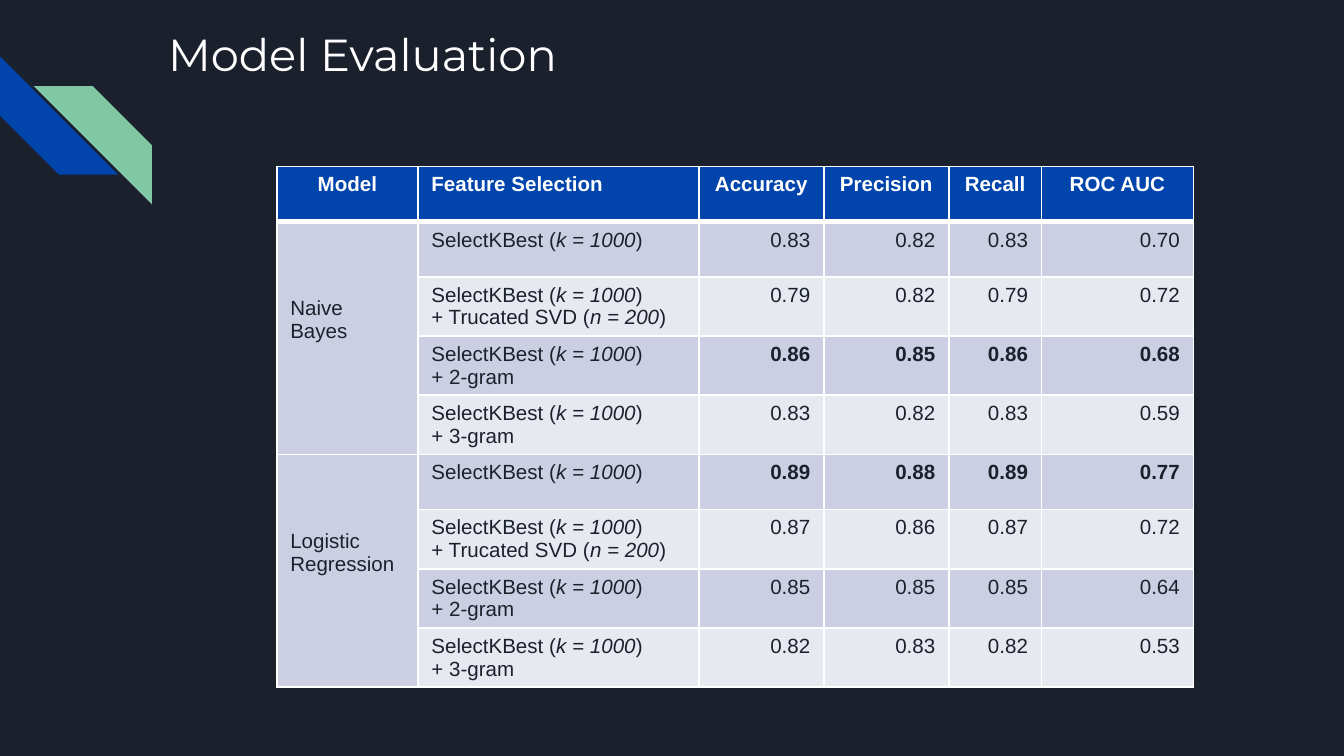
"""Build the Model Evaluation slide with its table of classifier scores."""
from lxml.etree import SubElement
from pptx import Presentation
from pptx.dml.color import RGBColor
from pptx.enum.shapes import MSO_SHAPE as Shape
from pptx.enum.text import MSO_ANCHOR as Anchor, PP_ALIGN as Align
from pptx.oxml.ns import qn
from pptx.util import Inches, Pt

NAVY = RGBColor(0x1B, 0x21, 0x2C)
BLUE = RGBColor(0x01, 0x45, 0xAC)
GREEN = RGBColor(0x82, 0xC7, 0xA5)
WHITE = RGBColor(0xFF, 0xFF, 0xFF)
LILAC = RGBColor(0xCC, 0xCF, 0xE3)
PALE = RGBColor(0xE7, 0xE9, 0xF1)

HEADERS = ["Model", "Feature Selection", "Accuracy", "Precision", "Recall", "ROC AUC"]
WIDTHS = [1.05, 2.09, 0.93, 0.93, 0.69, 1.13]
ROW_HEIGHT = 0.41
MODELS = [["Naive", "Bayes"], ["Logistic", "Regression"]]
BASE = ["SelectKBest (", "k = 1000", ")"]
EXTRAS = [[], [["+ Trucated SVD (", "n = 200", ")"]], [["+ 2-gram"]], [["+ 3-gram"]]]
SCORES = [
    ["0.83", "0.82", "0.83", "0.70"],
    ["0.79", "0.82", "0.79", "0.72"],
    ["0.86", "0.85", "0.86", "0.68"],
    ["0.83", "0.82", "0.83", "0.59"],
    ["0.89", "0.88", "0.89", "0.77"],
    ["0.87", "0.86", "0.87", "0.72"],
    ["0.85", "0.85", "0.85", "0.64"],
    ["0.82", "0.83", "0.82", "0.53"],
]
BEST_ROWS = (3, 5)


def style_cell(cell, fill, top=1, bottom=1):
    properties = cell._tc.get_or_add_tcPr()
    for side, width in (("L", 1), ("R", 1), ("T", top), ("B", bottom)):
        line = SubElement(properties, qn(f"a:ln{side}"), w=str(Pt(width)))
        solid = SubElement(line, qn("a:solidFill"))
        SubElement(solid, qn("a:srgbClr"), val=str(WHITE))
    cell.fill.solid()
    cell.fill.fore_color.rgb = fill


def write_cell(cell, lines, color=NAVY, align=Align.LEFT, bold=False):
    frame = cell.text_frame
    for index, parts in enumerate(lines):
        para = frame.add_paragraph() if index else frame.paragraphs[0]
        para.alignment = align
        for position, text in enumerate(parts):
            span = para.add_run()
            span.text = text
            span.font.name = "Arial"
            span.font.size = Pt(11)
            span.font.bold = bold
            span.font.italic = position == 1
            span.font.color.rgb = color


deck = Presentation()
deck.slide_width = Inches(10)
deck.slide_height = Inches(10) * 9 // 16
page = deck.slides.add_slide(deck.slide_layouts[5])
page.background.fill.solid()
page.background.fill.fore_color.rgb = NAVY

title = page.shapes.title
title.left, title.top = Inches(1.15), Inches(0.1)
title.width, title.height = Inches(7.7), Inches(1)
frame = title.text_frame
frame.vertical_anchor = Anchor.TOP
frame.margin_left = frame.margin_right = Inches(0.1)
frame.margin_top = frame.margin_bottom = Inches(0.1)
para = frame.paragraphs[0]
para.alignment = Align.LEFT
span = para.add_run()
span.text = "Model Evaluation"
span.font.name = "Montserrat"
span.font.size = Pt(24)
span.font.color.rgb = WHITE

stripes = page.shapes.add_group_shape()
for left, top, color in ((0, 0.42, BLUE), (0.25, 0.64, GREEN)):
    stripe = stripes.shapes.add_shape(
        Shape.DIAGONAL_STRIPE, Inches(left), Inches(top), Inches(0.88), Inches(0.88))
    stripe.adjustments[0] = 0.5
    stripe.shadow.inherit = False
    stripe.fill.solid()
    stripe.fill.fore_color.rgb = color
    stripe.line.fill.background()
    if color == BLUE:
        stripe.rotation = 270
    else:
        stripe._element.spPr.xfrm.set("flipH", "1")

row_count = len(SCORES) + 1
table = page.shapes.add_table(
    row_count, len(HEADERS), Inches(2.06), Inches(1.24),
    Inches(sum(WIDTHS)), Inches(ROW_HEIGHT * row_count)).table
for column, width in zip(table.columns, WIDTHS):
    column.width = Inches(width)
for row in table.rows:
    row.height = Inches(ROW_HEIGHT)

for column, header in enumerate(HEADERS):
    cell = table.cell(0, column)
    style_cell(cell, BLUE, bottom=3)
    align = Align.LEFT if column == 1 else Align.CENTER
    write_cell(cell, [[header]], WHITE, align, bold=True)

for row, scores in enumerate(SCORES, start=1):
    band = LILAC if row % 2 else PALE
    for column in range(len(HEADERS)):
        fill = band if column else LILAC
        style_cell(table.cell(row, column), fill, top=3 if row == 1 else 1)
    write_cell(table.cell(row, 1), [BASE] + EXTRAS[(row - 1) % len(EXTRAS)])
    for column, score in enumerate(scores, start=2):
        write_cell(table.cell(row, column), [[score]], align=Align.RIGHT,
                   bold=row in BEST_ROWS)

for index, words in enumerate(MODELS):
    first = 1 + index * len(EXTRAS)
    cell = table.cell(first, 0)
    cell.merge(table.cell(first + len(EXTRAS) - 1, 0))
    cell.margin_top = Inches(0.56)
    write_cell(cell, [[word] for word in words])

deck.save("out.pptx")
